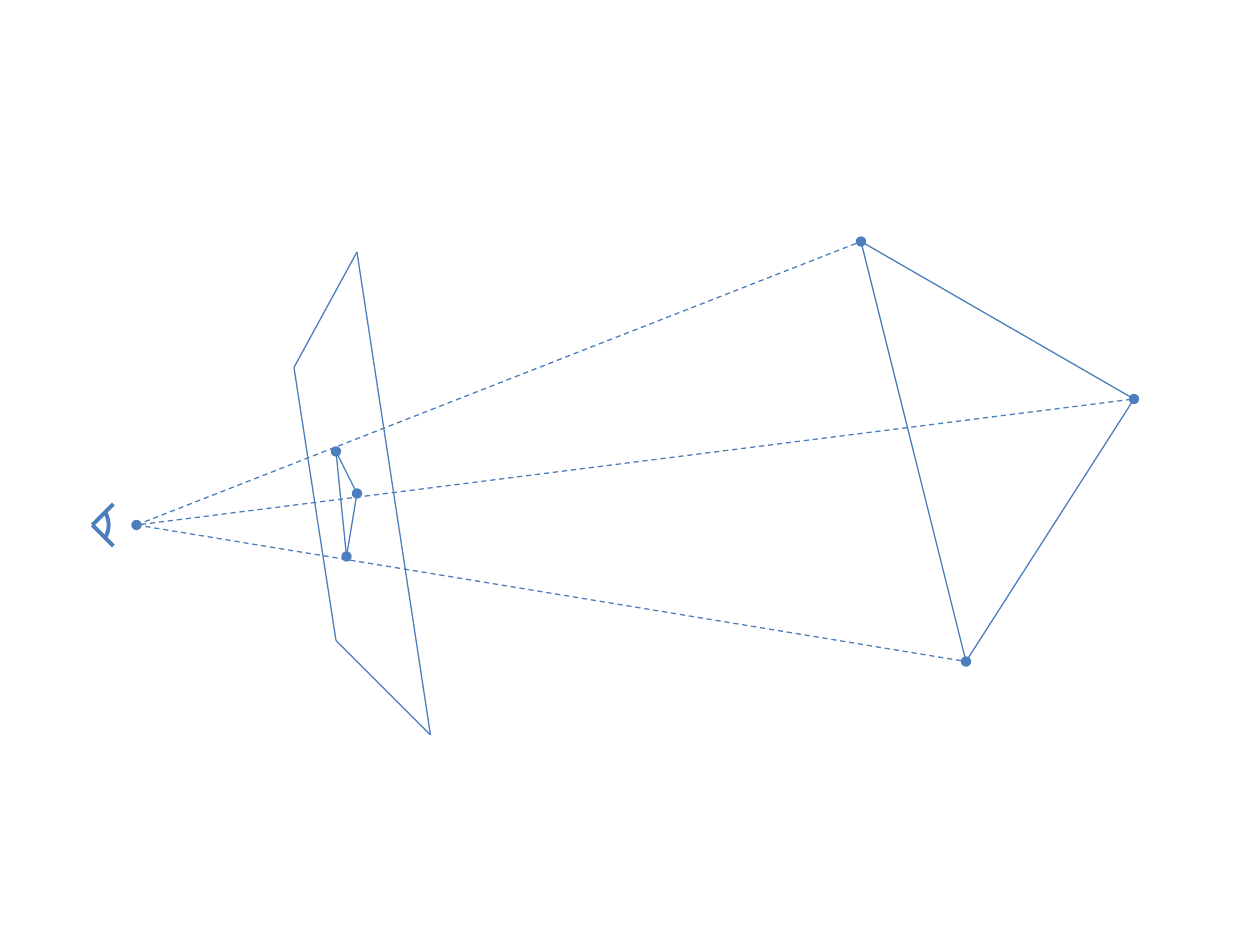
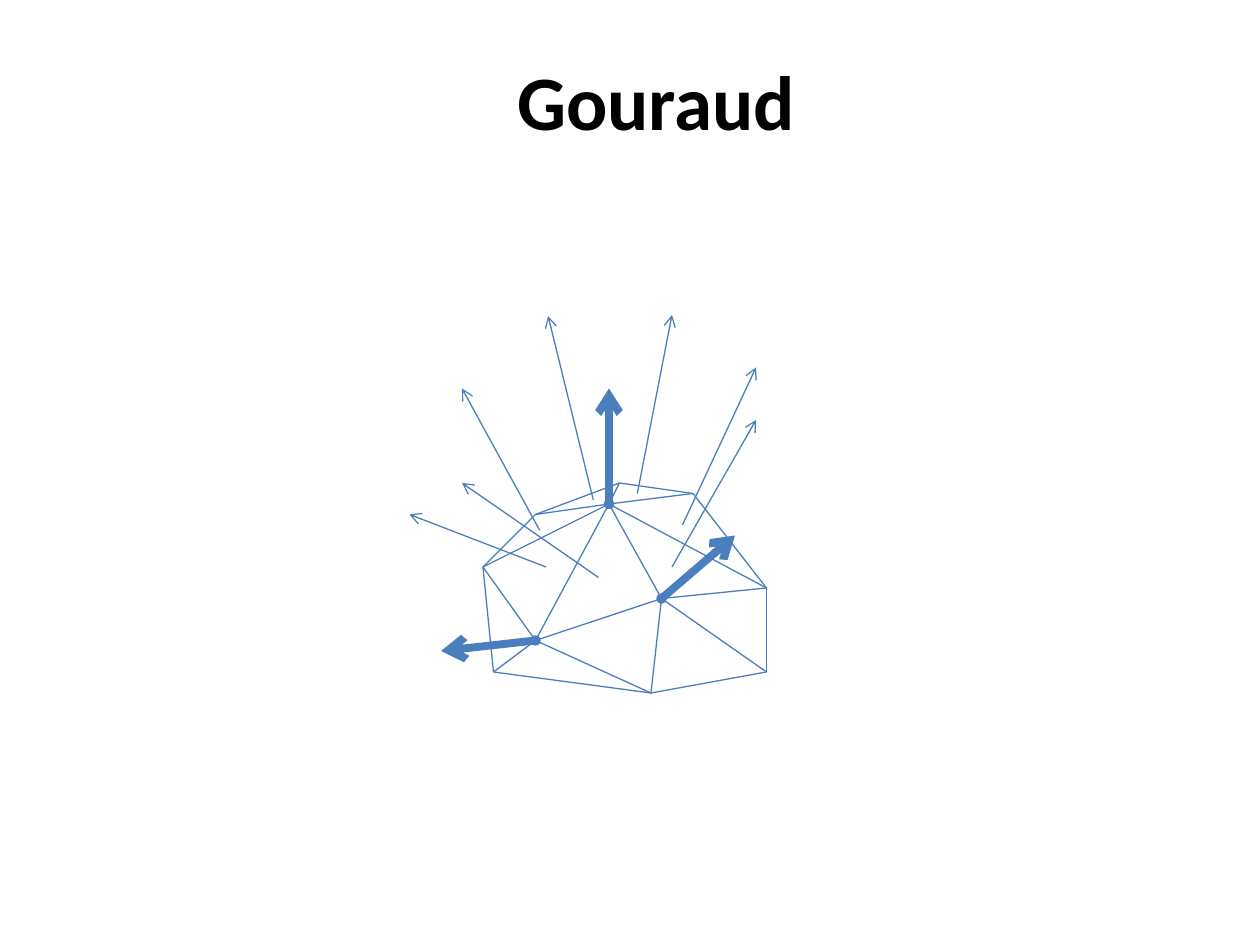
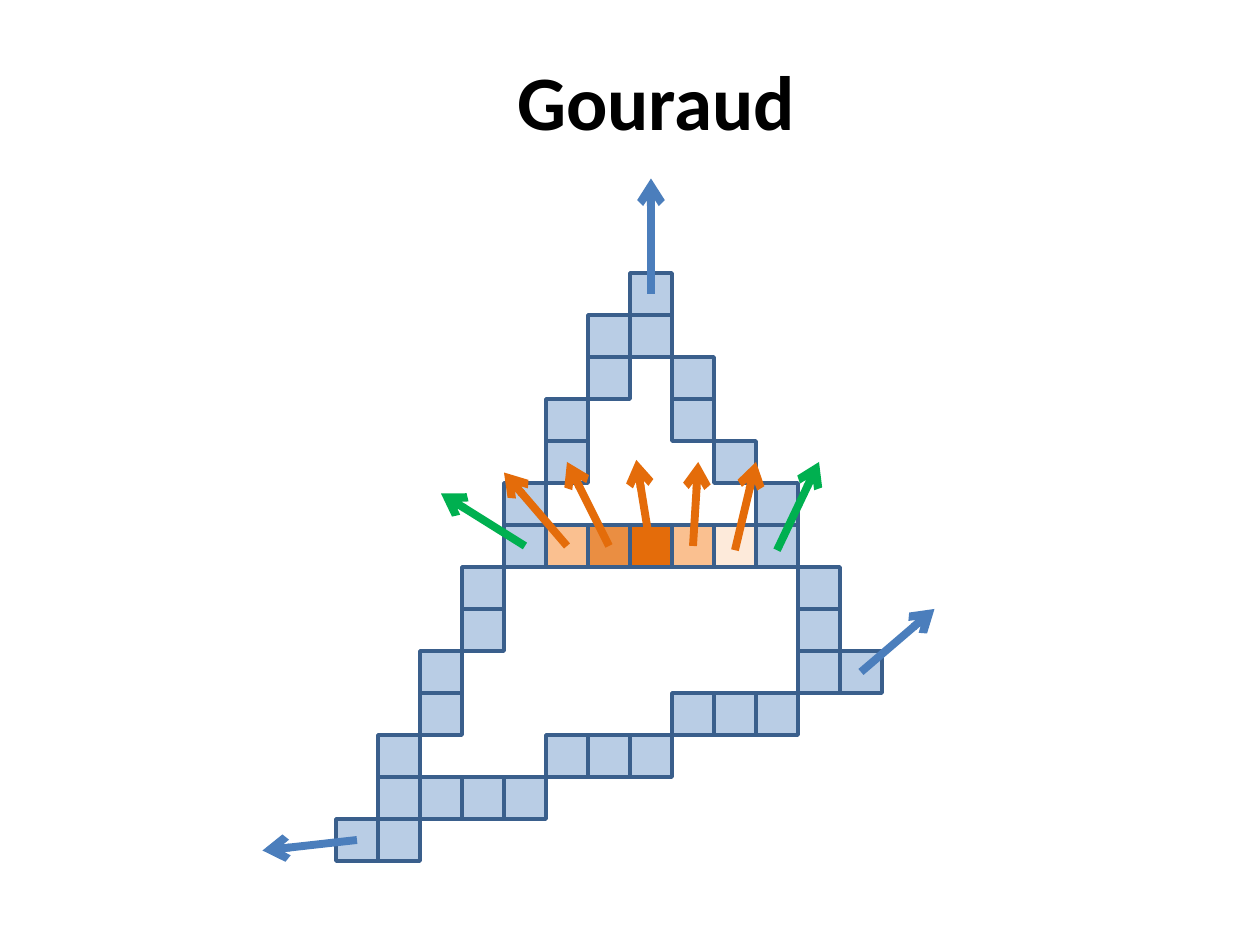
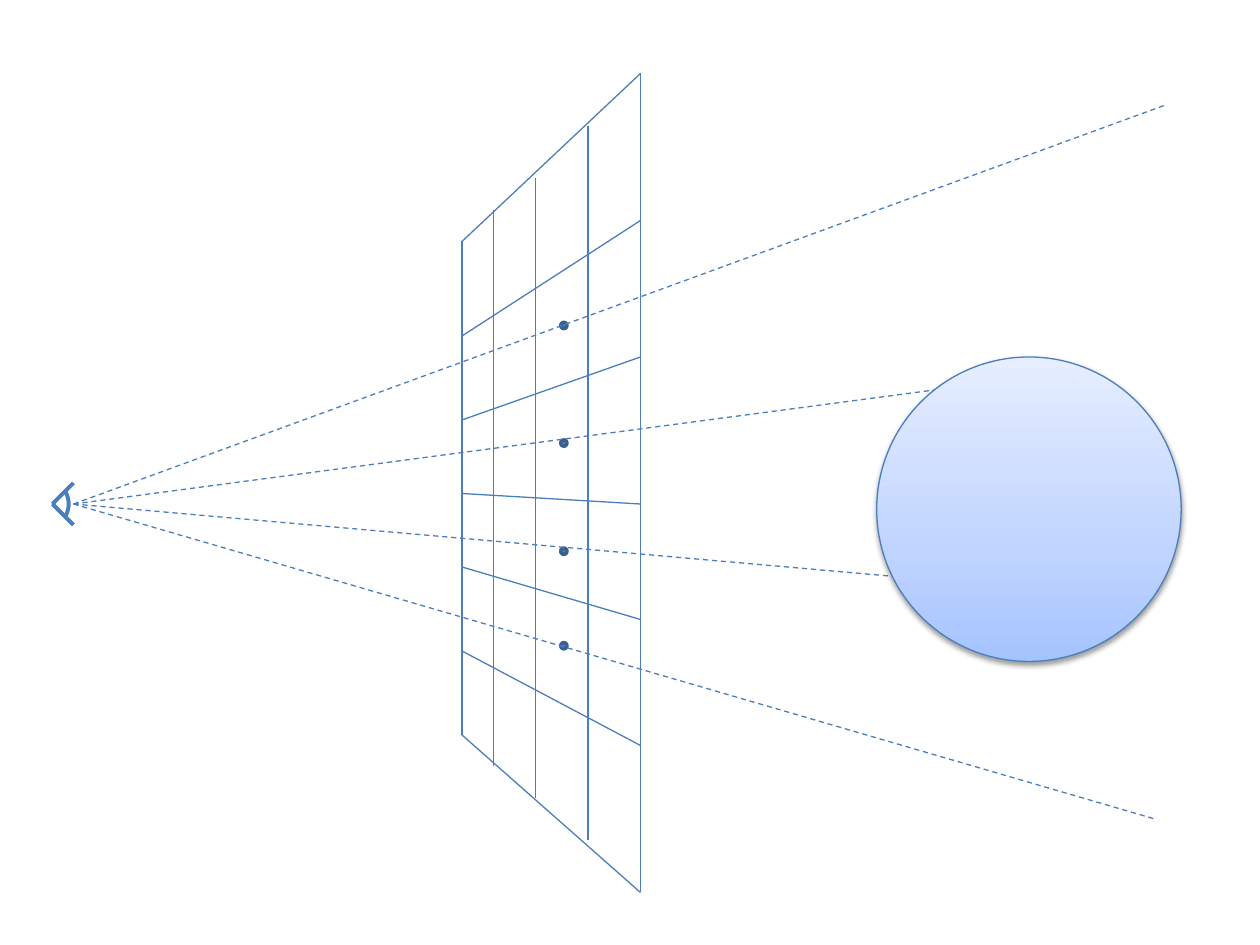
import copy
import itertools

import lxml.etree
import pptx
import pptx.dml.color
import pptx.enum.dml
import pptx.enum.shapes
import pptx.enum.text
import pptx.oxml.ns
import pptx.util

PX = 7620
FONT = "Calibri"
HUE = {
    "line": "4B7EBC", "edge": "3A5F8C", "dot": "4F81BD", "cell": "B9CDE5",
    "green": "00B050", "deep": "E46C0A", "mid": "FAC090", "pale": "FDEADA",
    "text": "000000", "low": "A4C4FF", "body": "BFD4FF", "high": "E6EEFF",
}
KIND = pptx.enum.shapes.MSO_SHAPE
qn = pptx.oxml.ns.qn


def rgb(name):
    """Return the named colour."""
    return pptx.dml.color.RGBColor.from_string(HUE[name])


def sub(node, tag, **attrs):
    """Add a drawing element with attributes."""
    return lxml.etree.SubElement(node, qn("a:" + tag), attrs)


def pen(shape, hue, width):
    """Set the colour and width of an outline."""
    shape.line.color.rgb = rgb(hue)
    shape.line.width = pptx.util.Pt(width)


def line(slide, box, start, end, hue="line", width=0.75, dash=False, head=None, tail=None):
    """Draw a straight line between two points of a box."""
    x, y = box
    ends = [x + start[0], y + start[1], x + end[0], y + end[1]]
    link = slide.shapes.add_connector(
        pptx.enum.shapes.MSO_CONNECTOR.STRAIGHT, *[n * PX for n in ends])
    pen(link, hue, width)
    if dash:
        link.line.dash_style = pptx.enum.dml.MSO_LINE.DASH
    props = link._element.spPr
    stroke = props.find(qn("a:ln"))
    if head:
        sub(stroke, "headEnd", type=head)
    if tail:
        sub(stroke, "tailEnd", type=tail)
    sub(props, "effectLst")


def loop(slide, box, points, **style):
    """Join points into a closed outline of lines."""
    for start, end in itertools.pairwise([*points, points[0]]):
        line(slide, box, start, end, **style)


def form(slide, kind, left, top, size, fill, hue="edge", width=2):
    """Draw a filled shape as wide as it is high."""
    shape = slide.shapes.add_shape(kind, left * PX, top * PX, size * PX, size * PX)
    shape.shadow.inherit = False
    shape.fill.solid()
    shape.fill.fore_color.rgb = rgb(fill)
    pen(shape, hue, width)
    return shape


def text(slide, box, words, size=44, bold=True, hue="text"):
    """Write centred text in a box."""
    frame = slide.shapes.add_textbox(*[n * PX for n in box]).text_frame
    frame.word_wrap = True
    frame.vertical_anchor = pptx.enum.text.MSO_ANCHOR.MIDDLE
    para = frame.paragraphs[0]
    para.alignment = pptx.enum.text.PP_ALIGN.CENTER
    run = para.add_run()
    run.text = words
    run.font.name = FONT
    run.font.size = pptx.util.Pt(size)
    run.font.bold = bold
    run.font.color.rgb = rgb(hue)


def title(slide, words):
    """Write the slide title."""
    text(slide, (390, 20, 470, 150), words)


def eye(slide, box):
    """Draw an eye that looks to the right."""
    for tip in (0, 40):
        line(slide, box, (0, 20), (20, tip), width=2.25)
    x, y = box
    steps = [n / 6 for n in range(-6, 7)]
    curve = [((x + 15.5 - 3.5 * t * t) * PX, (y + 20 + 12.5 * t) * PX) for t in steps]
    path = slide.shapes.build_freeform(*curve[0], scale=1.0)
    path.add_line_segments(curve[1:], close=False)
    iris = path.convert_to_shape()
    iris.shadow.inherit = False
    iris.fill.background()
    pen(iris, "line", 2.25)


def view(slide, box):
    """Draw a triangle projected onto a plane."""
    loop(slide, box, [(200, 120), (260, 10), (330, 470), (240, 380)])
    far = [(740, 0), (1000, 150), (840, 400)]
    near = [(240, 200), (260, 240), (250, 300)]
    loop(slide, box, far, head="oval")
    for point, head in zip(far, (None, "oval", None)):
        line(slide, box, (50, 270), point, dash=True, head=head)
    loop(slide, box, near, head="oval")
    eye(slide, (box[0] + 8, box[1] + 250))


def mesh(slide, box):
    """Draw a mesh with face and vertex normals."""
    nodes = {
        "A": (190, 180), "B": (240, 270), "C": (120, 310), "D": (340, 340),
        "E": (230, 360), "F": (80, 340), "G": (340, 260), "H": (70, 240),
        "I": (270, 170), "J": (200, 160), "K": (120, 190),
    }
    loop(slide, box, [nodes[n] for n in "ABC"], head="oval")
    for a, b in "BD BE EC DE CF FE DG GB AG CH HA AI IG AJ JI JK HK KA HF".split():
        line(slide, box, nodes[a], nodes[b])
    faces = [
        ((180, 250), (50, 160)), ((130, 240), (0, 190)), ((250, 240), (330, 100)),
        ((217, 170), (250, 0)), ((260, 200), (330, 50)), ((175, 176), (132, 1)),
        ((124, 205), (50, 70)),
    ]
    for start, end in faces:
        line(slide, box, start, end, tail="arrow")
    for name, end in {"A": (190, 70), "B": (310, 210), "C": (30, 320)}.items():
        line(slide, box, nodes[name], end, width=4.5, tail="arrow")


def grid(slide, box, size=40):
    """Draw the pixels of a triangle with one scan line and its normals."""
    rows = [
        ".......b", "......bb", "......b.b", ".....b..b", ".....b...b",
        "....b.....b", "....bmtdmpb", "...b.......b", "...b.......b",
        "..b........bb", "..b.....bbb", ".b...bbb", ".bbbb", "bb",
    ]
    fills = {"b": "cell", "m": "mid", "t": "deep", "d": "deep", "p": "pale"}
    for r, row in enumerate(rows):
        for c, key in enumerate(row):
            if key in fills:
                cell = form(slide, KIND.RECTANGLE, box[0] + c * size,
                            box[1] + r * size, size, fills[key])
                if key == "t":
                    tint = cell._element.spPr.find(qn("a:solidFill"))[0]
                    sub(tint, "alpha", val="77000")
    arrows = {
        "line": [((300, 20), (300, -90)), ((20, 540), (-70, 550)), ((500, 380), (570, 320))],
        "green": [((180, 260), (100, 210)), ((420, 264), (460, 180))],
        "deep": [((380, 264), (400, 180)), ((340, 260), (345, 180)), ((300, 264), (286, 178)),
                 ((260, 260), (220, 180)), ((220, 260), (160, 190))],
    }
    for hue, pairs in arrows.items():
        for start, end in pairs:
            line(slide, box, start, end, hue=hue, width=4.5, tail="arrow")


def screen(slide, box):
    """Draw a pixel screen in perspective with sample dots."""
    rungs = [(160, 0), (250, 140), (330, 270), (400, 410), (470, 520), (550, 640), (630, 780)]
    for left, right in rungs:
        line(slide, box, (0, left), (170, right))
    posts = [(0, 160, 630), (30, 130, 660), (70, 100, 690), (120, 50, 730), (170, 0, 780)]
    for x, top, foot in posts:
        line(slide, box, (x, top), (x, foot))
    for top in (237, 349, 452, 542):
        form(slide, KIND.OVAL, box[0] + 94, box[1] + top, 6, "dot")


def rays(slide, box):
    """Cast dashed rays from an eye."""
    for end in [(1030, 300), (1040, -380), (1020, 90), (906, -120)]:
        line(slide, box, (0, 0), end, dash=True)
    eye(slide, (box[0] - 20, box[1] - 20))


def ball(slide, box, size=290):
    """Draw a shaded ball with a soft shadow."""
    shape = form(slide, KIND.OVAL, *box, size, "body", "line", 0.75)
    shape.fill.gradient()
    shape.fill.gradient_angle = 90
    props = shape._element.spPr
    stops = props.find(".//" + qn("a:gsLst"))
    stops.insert(1, copy.deepcopy(stops[0]))
    shades = [(0, "low"), (0.35, "body"), (1, "high")]
    for stop, (place, hue) in zip(shape.fill.gradient_stops, shades):
        stop.position = place
        stop.color.rgb = rgb(hue)
    cast = sub(props.find(qn("a:effectLst")), "outerShdw", blurRad="40000",
               dist="20000", dir="5400000", rotWithShape="0")
    sub(sub(cast, "srgbClr", val=HUE["text"]), "alpha", val="38000")


def main():
    """Build the four slides and save them."""
    deck = pptx.Presentation()
    deck.slide_width = 1200 * PX
    deck.slide_height = 900 * PX
    blank = deck.slide_layouts[6]
    first, second, third, fourth = [deck.slides.add_slide(blank) for _ in range(4)]
    view(first, (80, 230))
    mesh(second, (390, 300))
    title(second, "Gouraud")
    title(third, "Gouraud")
    grid(third, (320, 260))
    screen(fourth, (440, 70))
    rays(fourth, (70, 480))
    ball(fourth, (835, 340))
    deck.save("out.pptx")


if __name__ == "__main__":
    main()
